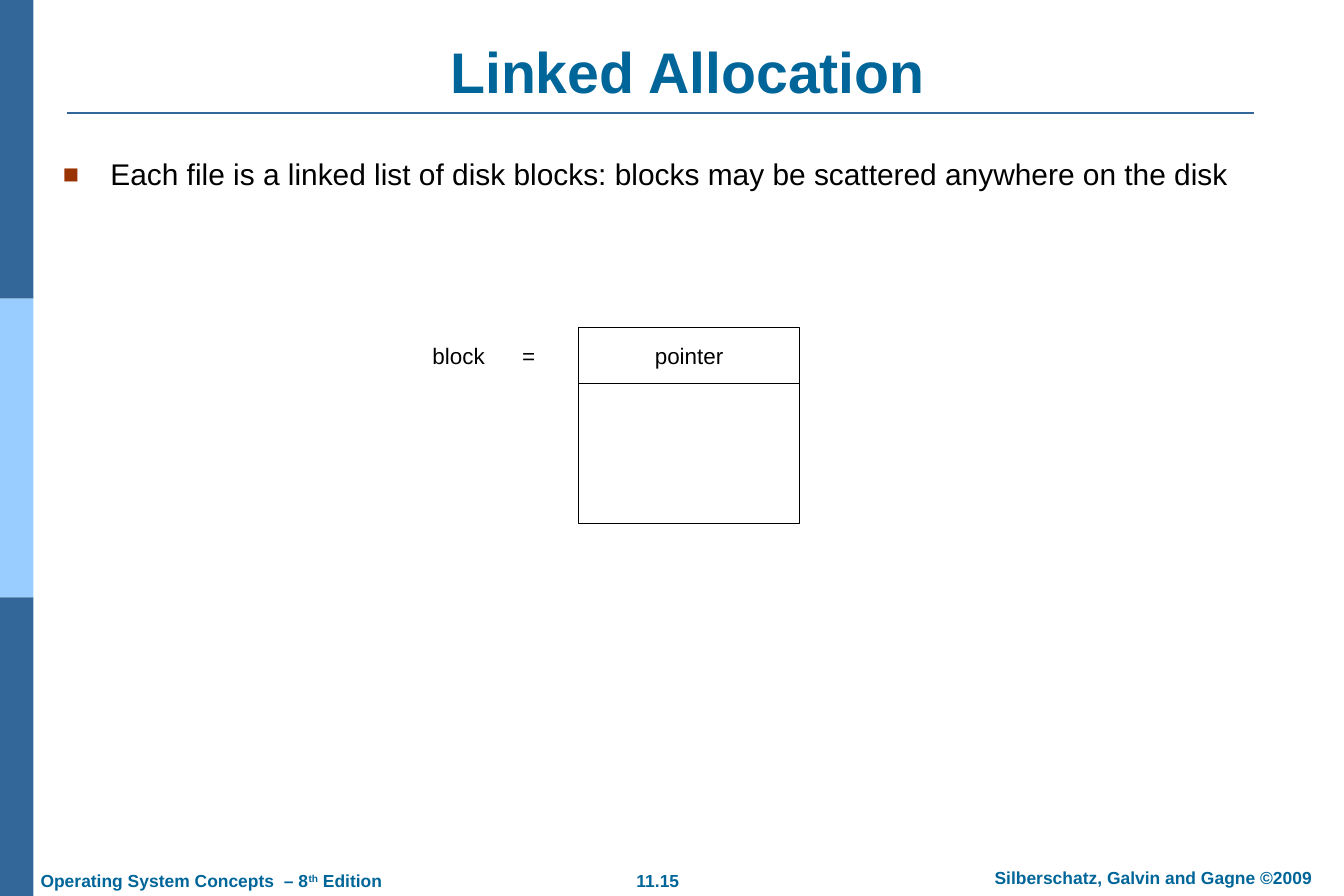
from lxml import etree
from pptx import Presentation
from pptx.dml.color import RGBColor
from pptx.enum.shapes import MSO_CONNECTOR, MSO_SHAPE
from pptx.enum.text import MSO_ANCHOR, PP_ALIGN
from pptx.oxml.ns import qn
from pptx.util import Cm, Pt

RECTANGLE = MSO_SHAPE.RECTANGLE
STRAIGHT = MSO_CONNECTOR.STRAIGHT
LEFT, CENTER = PP_ALIGN.LEFT, PP_ALIGN.CENTER
TOP, MIDDLE, BOTTOM = MSO_ANCHOR.TOP, MSO_ANCHOR.MIDDLE, MSO_ANCHOR.BOTTOM

COLORS = {
    "white": "FFFFFF",
    "black": "000000",
    "bar": "336699",
    "light_bar": "99CCFF",
    "heading": "006699",
    "bullet": "993300",
}
SLIDE_WIDTH, SLIDE_HEIGHT = 38.1, 25.4


def color(name):
    return RGBColor.from_string(COLORS[name])


class SlideBuilder:
    """Holds the text style and the slide being built."""

    font_name = "Arial"
    insets = (0.36, 0.18)

    def __init__(self, slide):
        self.slide = slide

    def rectangle(self, left, top, width, height, fill, line=None):
        shape = self.slide.shapes.add_shape(
            RECTANGLE, Cm(left), Cm(top), Cm(width), Cm(height))
        shape.shadow.inherit = False
        shape.fill.solid()
        shape.fill.fore_color.rgb = color(fill)
        if line:
            shape.line.color.rgb = color(line)
            shape.line.width = Pt(0.75)
        else:
            shape.line.fill.background()
        return shape

    def rule(self, left, right, top):
        connector = self.slide.shapes.add_connector(
            STRAIGHT, Cm(left), Cm(top), Cm(right), Cm(top))
        connector.line.color.rgb = color("bar")
        connector.line.width = Pt(1.5)
        etree.SubElement(connector._element.spPr, qn("a:effectLst"))

    def text_box(self, left, top, width, height, runs, **style):
        shape = self.slide.shapes.add_textbox(
            Cm(left), Cm(top), Cm(width), Cm(height))
        return self.fill_text(shape, runs, **style)

    def fill_text(self, shape, runs, size, ink="black", bold=False,
                  align=LEFT, anchor=TOP):
        frame = shape.text_frame
        frame.word_wrap = True
        frame.vertical_anchor = anchor
        horizontal, vertical = self.insets
        frame.margin_left = frame.margin_right = Cm(horizontal)
        frame.margin_top = frame.margin_bottom = Cm(vertical)
        paragraph = frame.paragraphs[0]
        paragraph.alignment = align
        for text, baseline in runs:
            run = paragraph.add_run()
            run.text = text
            font = run.font
            font.name = self.font_name
            font.size = Pt(size)
            font.bold = bold
            font.color.rgb = color(ink)
            if baseline:
                run._r.get_or_add_rPr().set("baseline", str(baseline * 1000))
        return paragraph

    def bullet(self, paragraph, indent):
        properties = paragraph._p.get_or_add_pPr()
        properties.set("marL", str(Cm(indent)))
        properties.set("indent", str(-Cm(indent)))
        bullet_color = etree.SubElement(properties, qn("a:buClr"))
        etree.SubElement(bullet_color, qn("a:srgbClr"), val=COLORS["bullet"])
        etree.SubElement(properties, qn("a:buSzPct"), val="90000")
        etree.SubElement(properties, qn("a:buFont"), typeface=self.font_name)
        etree.SubElement(properties, qn("a:buChar"), char="■")

    def tab_stop(self, paragraph, position):
        properties = paragraph._p.get_or_add_pPr()
        tabs = etree.SubElement(properties, qn("a:tabLst"))
        etree.SubElement(tabs, qn("a:tab"), pos=str(Cm(position)), algn="l")


def main():
    presentation = Presentation()
    presentation.slide_width = Cm(SLIDE_WIDTH)
    presentation.slide_height = Cm(SLIDE_HEIGHT)
    builder = SlideBuilder(
        presentation.slides.add_slide(presentation.slide_layouts[6]))

    bar_height = SLIDE_HEIGHT / 3
    for index, fill in enumerate(("bar", "light_bar", "bar")):
        builder.rectangle(0, index * bar_height, 0.95, bar_height, fill)
    builder.rule(1.9, 35.56, 3.2)

    footer = {"size": 14, "ink": "heading", "bold": True}
    builder.text_box(17.15, 24.49, 3, 0.9, [("11.15", 0)],
                     align=CENTER, **footer)
    builder.text_box(27.3, 24.41, 10.8, 0.95,
                     [("Silberschatz, Galvin and Gagne ©2009", 0)],
                     align=CENTER, **footer)
    builder.text_box(0.79, 24.5, 10.5, 0.9,
                     [("Operating System Concepts  – 8", 0), ("th", 30),
                      (" Edition", 0)], **footer)

    builder.text_box(2.79, 1.02, 33.4, 2.13, [("Linked Allocation", 0)],
                     size=46, ink="heading", bold=True,
                     align=CENTER, anchor=BOTTOM)
    statement = builder.text_box(
        1.42, 4.24, 34.2, 2.77,
        [("Each file is a linked list of disk blocks: "
          "blocks may be scattered anywhere on the disk", 0)], size=24)
    builder.bullet(statement, 1.35)

    block_left, block_top, block_width = 16.41, 9.27, 6.25
    pointer_height, data_height = 1.6, 3.96
    pointer = builder.rectangle(block_left, block_top, block_width,
                                pointer_height, "white", "black")
    builder.fill_text(pointer, [("pointer", 0)], size=18,
                      align=CENTER, anchor=MIDDLE)
    builder.rectangle(block_left, block_top + pointer_height, block_width,
                      data_height, "white", "black")
    label = builder.text_box(11.9, 9.56, 3.8, 1.02, [("block\t=", 0)],
                             size=18, anchor=MIDDLE)
    builder.tab_stop(label, 2.54)

    presentation.save("out.pptx")


if __name__ == "__main__":
    main()
